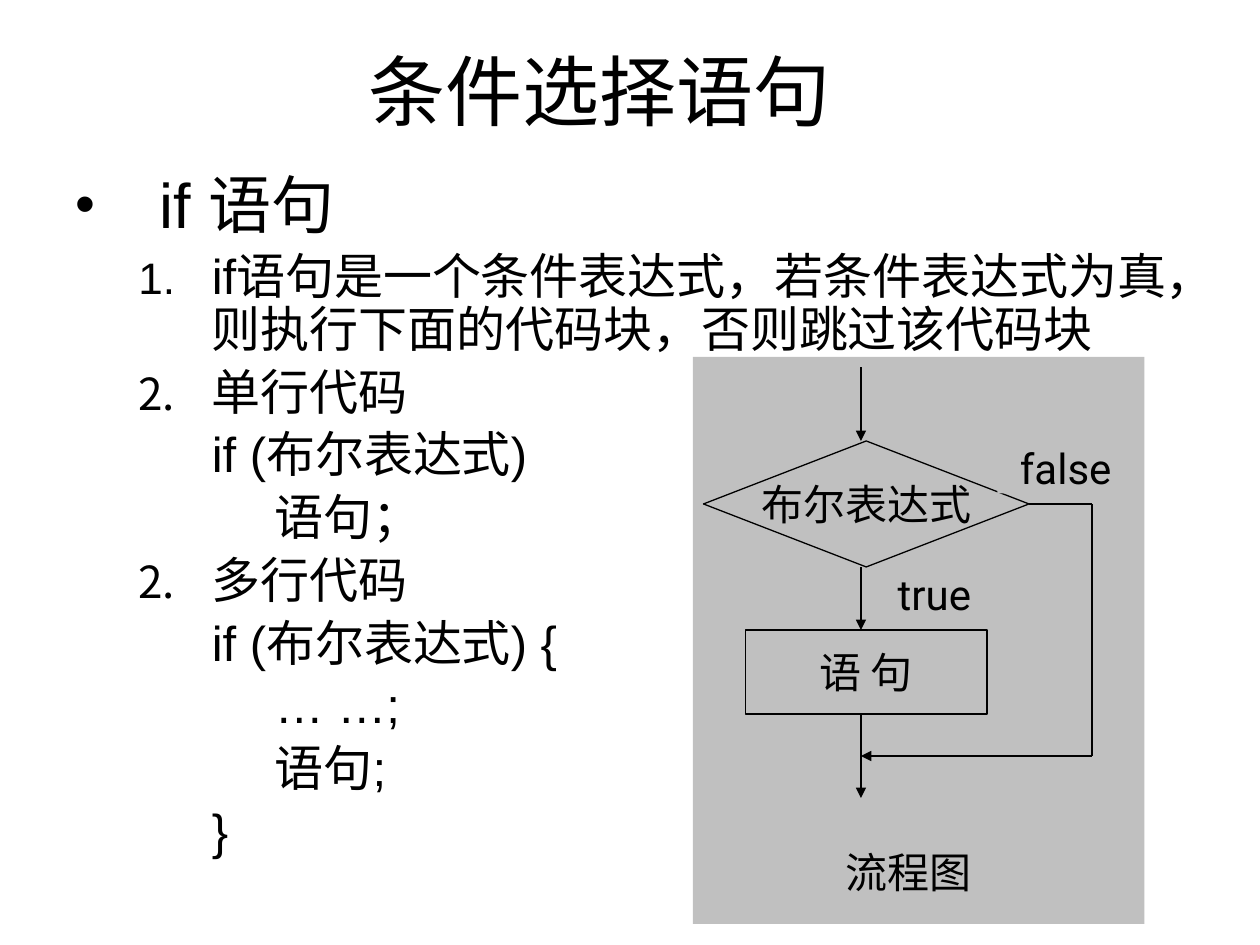
from lxml.etree import SubElement
from pptx import Presentation
from pptx.dml.color import RGBColor
from pptx.enum.shapes import MSO_CONNECTOR, MSO_SHAPE
from pptx.enum.text import MSO_ANCHOR, PP_ALIGN
from pptx.oxml.ns import qn
from pptx.util import Pt

PX = 7620
BLACK, GRAY = "000000", "C0C0C0"

TITLE = "条件选择语句"
LINES = [
    ("if 语句", "•"),
    ("if语句是一个条件表达式，若条件表达式为真，则执行下面的代码块，否则跳过该代码块", 1),
    ("单行代码", 1),
    ("\tif (布尔表达式)", None),
    ("\t\t语句；", None),
    ("多行代码", 2),
    ("\tif (布尔表达式) {", None),
    ("\t\t… …;", None),
    ("\t\t语句;", None),
    ("\t}", None),
]
PANEL = (660, 340, 430, 540)
STEPS = {
    "语 句": (MSO_SHAPE.RECTANGLE, (710, 600, 230, 80)),
    "布尔表达式": (MSO_SHAPE.DIAMOND, (670, 420, 310, 120)),
}
MID, SIDE = 820, 1040
WIRES = [
    ((MID, 350), (MID, 420), True),
    ((MID, 540), (MID, 600), True),
    ((MID, 680), (MID, 760), True),
    ((980, 480), (SIDE, 480), False),
    ((SIDE, 480), (SIDE, 720), False),
    ((SIDE, 720), (MID, 720), True),
]
LABELS = {
    "false": (950, 420, 130, 50),
    "true": (830, 540, 120, 50),
    "流程图": (750, 800, 230, 60),
}


def emu(nums):
    return [n * PX for n in nums]


def color(code):
    return RGBColor.from_string(code)


def write(para, text, size=24, font="Roboto", align=PP_ALIGN.CENTER):
    para.text = text
    para.alignment = align
    para.font.size = Pt(size)
    para.font.name = font
    para.font.color.rgb = color(BLACK)


def mark(para, sign, left, hang):
    props = para._p.get_or_add_pPr()
    props.set("marL", str(left * PX))
    props.set("indent", str(-hang * PX))
    if sign is None:
        SubElement(props, qn("a:buNone"))
        return
    SubElement(props, qn("a:buSzPct"), val="90000")
    SubElement(props, qn("a:buFont"), typeface="Arial")
    if sign == "•":
        SubElement(props, qn("a:buChar"), char=sign)
    else:
        SubElement(props, qn("a:buAutoNum"), type="arabicPeriod", startAt=str(sign))


def block(group, kind, box, text="", edge=False):
    shape = group.shapes.add_shape(kind, *emu(box))
    shape.shadow.inherit = False
    shape.fill.solid()
    shape.fill.fore_color.rgb = color(GRAY)
    if edge:
        shape.line.color.rgb = color(BLACK)
        shape.line.width = Pt(0.75)
    else:
        shape.line.fill.background()
    if text:
        frame = shape.text_frame
        frame.word_wrap = False
        frame.vertical_anchor = MSO_ANCHOR.MIDDLE
        write(frame.paragraphs[0], text)
    return shape


def wire(group, start, end, arrow):
    line = group.shapes.add_connector(MSO_CONNECTOR.STRAIGHT, *emu(start + end))
    line.line.color.rgb = color(BLACK)
    line.line.width = Pt(0.75)
    if arrow:
        SubElement(line.line._get_or_add_ln(), qn("a:tailEnd"), type="triangle")
    SubElement(line._element.spPr, qn("a:effectLst"))
    return line


def outline(slide):
    frame = slide.shapes.add_textbox(*emu((60, 160, 1090, 710))).text_frame
    frame.word_wrap = True
    for i, (text, sign) in enumerate(LINES):
        para = frame.add_paragraph() if i else frame.paragraphs[0]
        size = 28 if i else 36
        if i:
            para.level = 1
            mark(para, sign, 130, 70)
            para.space_before = Pt(size * 0.2)
        else:
            mark(para, sign, 80, 80)
        para.line_spacing = 0.9
        write(para, text, size=size, font="Arial", align=PP_ALIGN.LEFT)


def chart(slide):
    group = slide.shapes.add_group_shape()
    block(group, MSO_SHAPE.RECTANGLE, PANEL)
    steps = {text: block(group, kind, box, text, edge=True)
             for text, (kind, box) in STEPS.items()}
    wires = [wire(group, *ends) for ends in WIRES]
    wires[3].begin_connect(steps["布尔表达式"], 3)
    for text, box in LABELS.items():
        block(group, MSO_SHAPE.RECTANGLE, box, text)


def main():
    deck = Presentation()
    deck.slide_width, deck.slide_height = emu((1200, 900))
    slide = deck.slides.add_slide(deck.slide_layouts[5])
    title = slide.shapes.title
    title.left, title.top, title.width, title.height = emu((60, 30, 1022, 110))
    title.text_frame.vertical_anchor = MSO_ANCHOR.MIDDLE
    write(title.text_frame.paragraphs[0], TITLE, size=44, font="Arial")
    outline(slide)
    chart(slide)
    deck.save("out.pptx")


if __name__ == "__main__":
    main()
